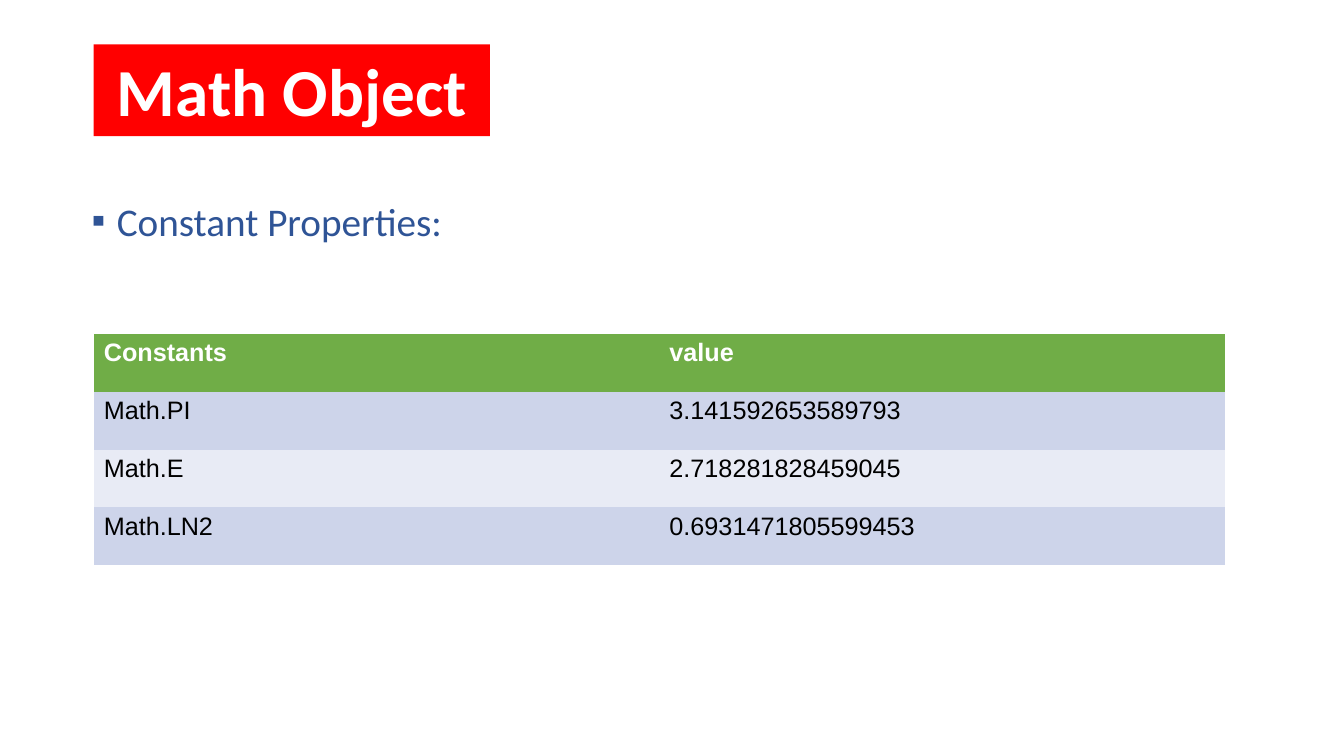
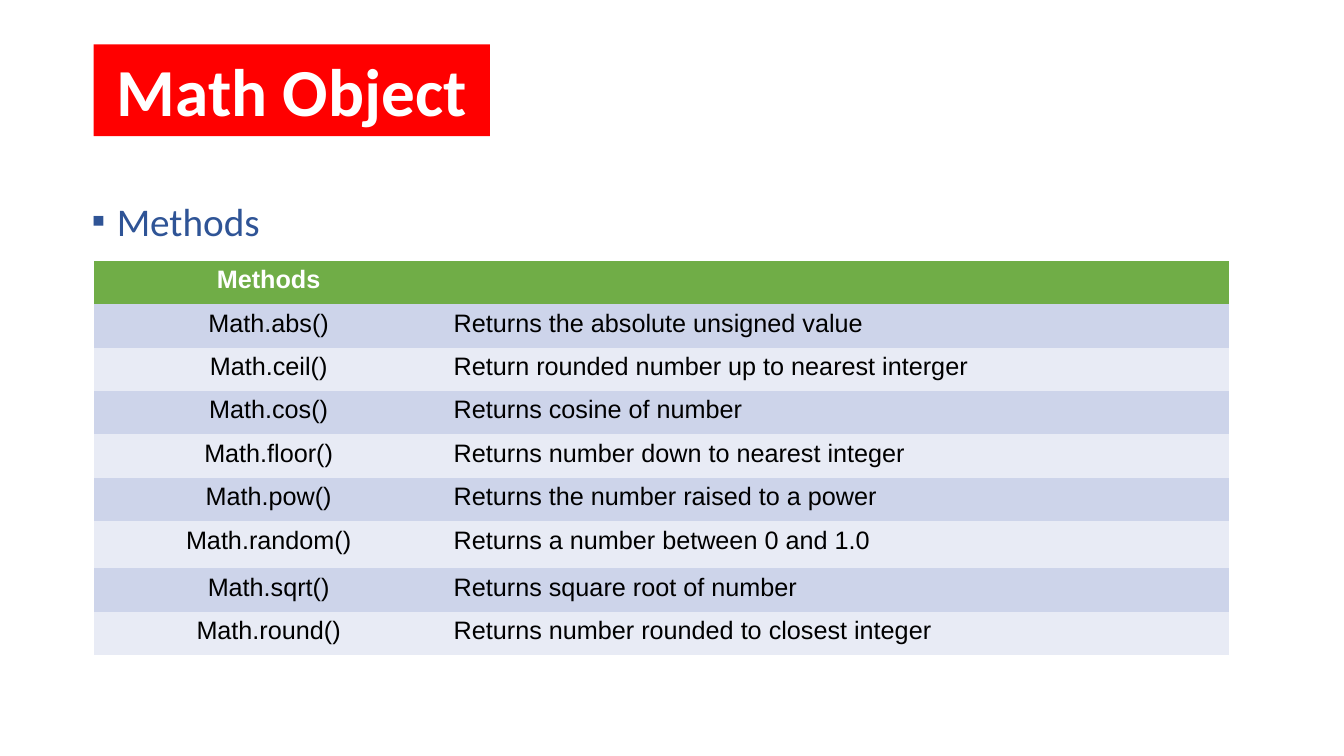
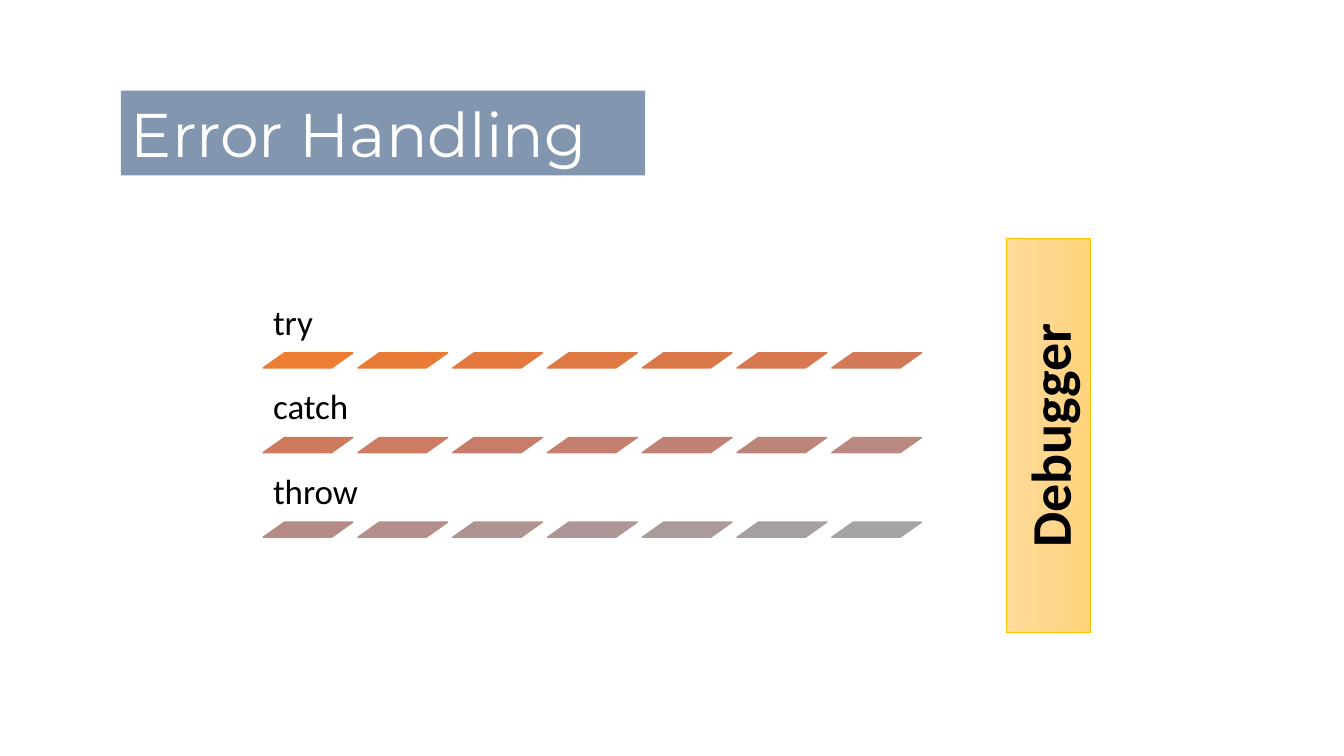
from copy import deepcopy

from lxml import etree
from pptx import Presentation
from pptx.dml.color import RGBColor
from pptx.enum import shapes, text
from pptx.oxml import ns
from pptx.util import Inches, Pt

WHITE = RGBColor(0xFF, 0xFF, 0xFF)
BLACK = RGBColor(0x00, 0x00, 0x00)
RED = RGBColor(0xFF, 0x00, 0x00)
NAVY = RGBColor(0x2F, 0x54, 0x96)
GREEN = RGBColor(0x70, 0xAD, 0x47)
BANDS = [RGBColor(0xCD, 0xD4, 0xEA), RGBColor(0xE8, 0xEB, 0xF5)]
SLATE = RGBColor(0x82, 0x96, 0xB0)
GOLD = RGBColor(0xFF, 0xC0, 0x00)
GOLD_FADE = [RGBColor(0xFF, 0xDC, 0x9B), RGBColor(0xFF, 0xD6, 0x8D), RGBColor(0xFF, 0xD4, 0x78)]
NO_TABLE_STYLE = "{2D5ABB26-0587-4C30-8999-92F81FD0307C}"


def write(frame, words, size, font, color, bold=False, align=text.PP_ALIGN.LEFT,
          anchor=text.MSO_ANCHOR.TOP):
    """Put one styled run in the first paragraph and return the paragraph."""
    frame.word_wrap = True
    frame.vertical_anchor = anchor
    para = frame.paragraphs[0]
    para.alignment = align
    span = para.add_run()
    span.text = words
    span.font.size = Pt(size)
    span.font.name = font
    span.font.bold = bold
    span.font.color.rgb = color
    return para


def add_block(page, preset, left, top, width, height, fill, line=None):
    """Draw a flat preset shape."""
    block = page.shapes.add_shape(preset, Inches(left), Inches(top), Inches(width), Inches(height))
    block.shadow.inherit = False
    block.fill.solid()
    block.fill.fore_color.rgb = fill
    if line is None:
        block.line.fill.background()
    else:
        block.line.color.rgb = line
    return block


deck = Presentation()
deck.slide_width = Inches(13.33)
deck.slide_height = Inches(7.5)
blank = deck.slide_layouts[6]

# Math Object slides: heading, table top, column widths, row heights, first column alignment, rows
math_pages = [
    ("Constant Properties:", 3.31, [5.61, 5.61], [2.3 / 4] * 4, text.PP_ALIGN.LEFT, [
        ("Constants", "value"),
        ("Math.PI", "3.141592653589793"),
        ("Math.E", "2.718281828459045"),
        ("Math.LN2", "0.6931471805599453"),
    ]),
    ("Methods", 2.59, [3.47, 7.79], [0.43] * 6 + [0.47] + [0.43] * 2, text.PP_ALIGN.CENTER, [
        ("Methods", ""),
        ("Math.abs()", "Returns the absolute unsigned value"),
        ("Math.ceil()", "Return rounded number up to nearest interger"),
        ("Math.cos()", "Returns cosine of number"),
        ("Math.floor()", "Returns number down to nearest integer"),
        ("Math.pow()", "Returns the number raised to a power"),
        ("Math.random()", "Returns a number between 0 and 1.0"),
        ("Math.sqrt()", "Returns square root of number"),
        ("Math.round()", "Returns number rounded to closest integer"),
    ]),
]

for heading, table_top, widths, heights, first_align, rows in math_pages:
    page = deck.slides.add_slide(blank)

    # Bulleted heading
    box = page.shapes.add_textbox(Inches(0.81), Inches(1.67), Inches(12.11), Inches(5.38))
    para = write(box.text_frame, heading, 28, "Calibri", NAVY)
    para.line_spacing = 1.5
    props = para._p.get_or_add_pPr()
    props.set("marL", str(Inches(0.25)))
    props.set("indent", str(Inches(-0.25)))
    bullet_color = etree.SubElement(props, ns.qn("a:buClr"))
    etree.SubElement(bullet_color, ns.qn("a:srgbClr"), val=str(NAVY))
    etree.SubElement(props, ns.qn("a:buFont"), typeface="Arial")
    etree.SubElement(props, ns.qn("a:buChar"), char="▪")

    # Title band
    title = add_block(page, shapes.MSO_SHAPE.RECTANGLE, 0.93, 0.44, 3.93, 0.91, RED)
    write(title.text_frame, "Math Object", 48, "Calibri", WHITE, True, text.PP_ALIGN.CENTER)

    # Table
    table_frame = page.shapes.add_table(len(rows), len(widths), Inches(0.93), Inches(table_top),
                                        Inches(sum(widths)), Inches(sum(heights)))
    table = table_frame.table
    table._tbl.tblPr.find(ns.qn("a:tableStyleId")).text = NO_TABLE_STYLE
    for column, width in zip(table.columns, widths):
        column.width = Inches(width)
    for r, (height, values) in enumerate(zip(heights, rows)):
        table.rows[r].height = Inches(height)
        header = r == 0
        for c, value in enumerate(values):
            cell = table.cell(r, c)
            cell.fill.solid()
            cell.fill.fore_color.rgb = GREEN if header else BANDS[(r - 1) % 2]
            if value:
                write(cell.text_frame, value, 18, "Arial", WHITE if header else BLACK, header,
                      first_align if c == 0 else text.PP_ALIGN.LEFT)

# Error Handling slide
page = deck.slides.add_slide(blank)

# Keyword rows, each underlined by a strip of slanted dashes
keyword_strips = [
    ("try", "ED7D31 E87B36 E3793D DE7944 DB784A D77850 D27A57"),
    ("catch", "CF7A5C CB7C63 C77D69 C47F6E C08274 BC857A B98880"),
    ("throw", "B68B85 B38E8A AF9390 AD9695 AA9B9A A79F9F A4A4A4"),
]
for row, (keyword, shades) in enumerate(keyword_strips):
    top = 2.89 + 0.84 * row
    box = page.shapes.add_textbox(Inches(2.61), Inches(top), Inches(6.66), Inches(0.61))
    frame = box.text_frame
    frame.margin_left = frame.margin_right = Inches(0.1)
    frame.margin_top = frame.margin_bottom = Inches(0.1)
    para = write(frame, keyword, 25, "Calibri", BLACK, anchor=text.MSO_ANCHOR.BOTTOM)
    para.line_spacing = 0.9
    for col, shade in enumerate(shades.split()):
        color = RGBColor.from_string(shade)
        dash = add_block(page, shapes.MSO_SHAPE.PARALLELOGRAM, 2.61 + 0.94 * col, top + 0.61,
                         0.89, 0.15, color, color)
        dash.adjustments[0] = 1.41
        dash.line.width = Pt(1)

# Title band
title = add_block(page, shapes.MSO_SHAPE.RECTANGLE, 1.2, 0.9, 5.2, 0.84, SLATE)
write(title.text_frame, "Error Handling", 44, "Montserrat", WHITE)

# Upright debugger bar with a three-stop gradient
bar = add_block(page, shapes.MSO_SHAPE.RECTANGLE, 8.45, 3.9, 3.9, 0.84, GOLD, GOLD)
bar.rotation = 270
bar.line.width = Pt(0.75)
bar.fill.gradient()
bar.fill.gradient_angle = 270
stop_list = bar._element.spPr.find(".//" + ns.qn("a:gsLst"))
middle = deepcopy(stop_list[0])
middle.set("pos", "50000")
stop_list.insert(1, middle)
for stop, color in zip(bar.fill.gradient_stops, GOLD_FADE):
    stop.color.rgb = color
write(bar.text_frame, "Debugger", 40, "Calibri", BLACK, True, text.PP_ALIGN.CENTER,
      text.MSO_ANCHOR.MIDDLE)

deck.save("out.pptx")
